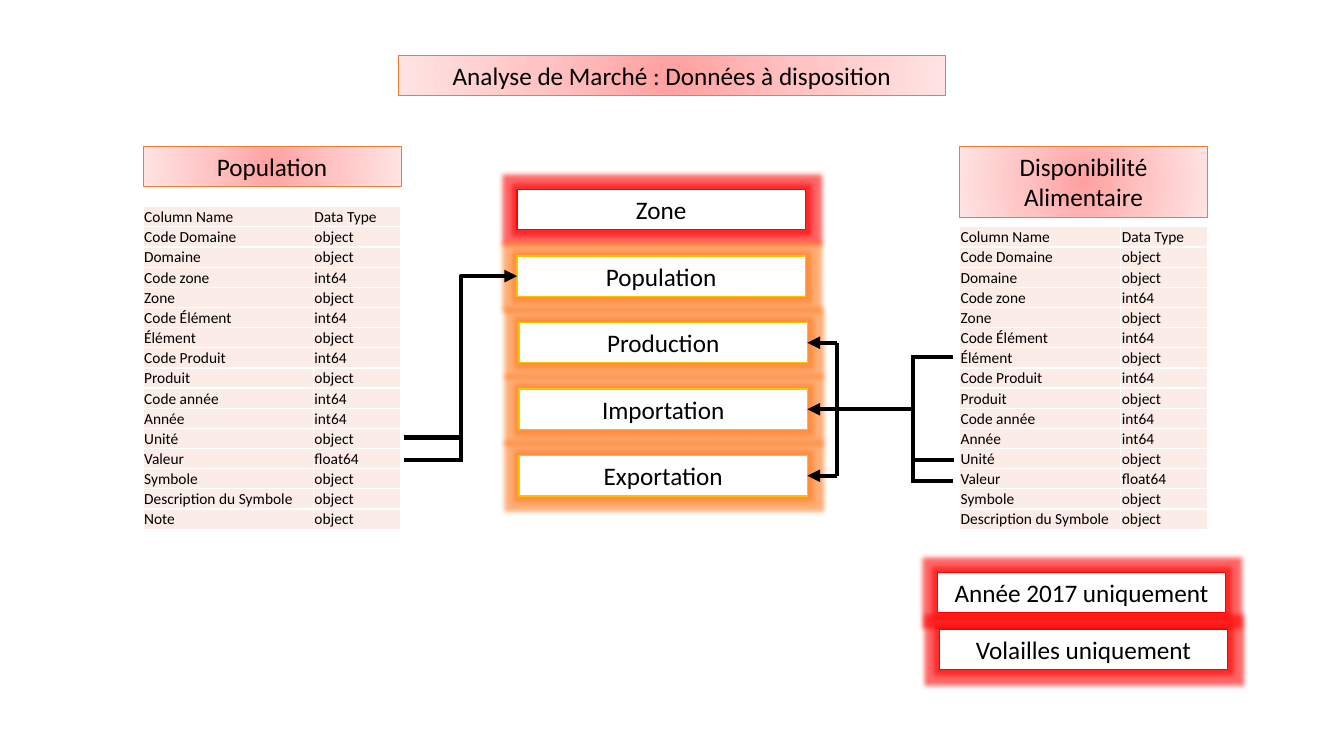
from lxml.etree import SubElement as Sub
from pptx import Presentation
from pptx.dml.color import RGBColor as Rgb
from pptx.enum.shapes import MSO_CONNECTOR as Conn, MSO_SHAPE as Geo
from pptx.enum.text import MSO_ANCHOR as Anchor, MSO_AUTO_SIZE as Auto, PP_ALIGN as Align
from pptx.oxml import parse_xml
from pptx.oxml.ns import nsdecls, qn
from pptx.util import Pt

PX = 9144
HUES = {
    "black": "000000", "white": "FFFFFF", "red": "FF0000", "gold": "FFC000",
    "edge": "ED7D31", "glow": "FF7A1F", "cell": "FCECE8",
    "deep": "FFA0A0", "mid": "FFC5C5", "pale": "FFE3E3",
}
FONT = {"name": "Calibri"}
FRAME = {"word_wrap": True, "auto_size": Auto.SHAPE_TO_FIT_TEXT,
         "vertical_anchor": Anchor.TOP}
CELL = {"vertical_anchor": Anchor.BOTTOM, "margin_left": PX, "margin_right": PX,
        "margin_top": PX, "margin_bottom": 0}
PLAIN = {"first_row": False, "horz_banding": False}

deck = Presentation()
deck.slide_width, deck.slide_height = 12192000, 750 * PX
slide = deck.slides.add_slide(deck.slide_layouts[6])


def label(frame, text, size):
    part = frame.paragraphs[0]
    run = part.add_run()
    run.text = text
    for key, val in {**FONT, "size": Pt(size)}.items():
        setattr(run.font, key, val)
    run.font.color.rgb = Rgb.from_string(HUES["black"])
    return part


def box(text, spot, hue, width):
    rect = slide.shapes.add_shape(Geo.RECTANGLE, *[n * PX for n in spot])
    rect.shadow.inherit = False
    rect.line.color.rgb = Rgb.from_string(HUES[hue])
    rect.line.width = Pt(width)
    for key, val in FRAME.items():
        setattr(rect.text_frame, key, val)
    label(rect.text_frame, text, 18).alignment = Align.CENTER
    return rect


HEADS = [
    ("Analyse de Marché : Données à disposition", (395, 55, 543, 40)),
    ("Population", (142, 145, 256, 40)),
    ("Disponibilité Alimentaire", (952, 145, 246, 71)),
]
stops = "".join(
    f'<a:gs pos="{pos}"><a:srgbClr val="{HUES[hue]}"/></a:gs>'
    for pos, hue in ((0, "deep"), (50000, "mid"), (100000, "pale")))
for text, spot in HEADS:
    head = box(text, spot, "edge", 0.5)
    head._element.spPr.find(qn("a:ln")).addprevious(parse_xml(
        f'<a:gradFill {nsdecls("a")} rotWithShape="1"><a:gsLst>{stops}</a:gsLst>'
        '<a:path path="circle"><a:fillToRect l="50000" t="50000" r="50000" b="50000"/>'
        '</a:path></a:gradFill>'))

FIELDS = [
    ("Column Name", "Data Type"), ("Code Domaine", "object"), ("Domaine", "object"),
    ("Code zone", "int64"), ("Zone", "object"), ("Code Élément", "int64"),
    ("Élément", "object"), ("Code Produit", "int64"), ("Produit", "object"),
    ("Code année", "int64"), ("Année", "int64"), ("Unité", "object"),
    ("Valeur", "float64"), ("Symbole", "object"),
    ("Description du Symbole", "object"), ("Note", "object"),
]
for left, top, wide, rows in ((142, 205, (169, 86), FIELDS),
                              (952, 225, (160, 86), FIELDS[:-1])):
    spot = (left, top, sum(wide), 20 * len(rows))
    grid = slide.shapes.add_table(len(rows), 2, *[n * PX for n in spot]).table
    for key, val in PLAIN.items():
        setattr(grid, key, val)
    for col, width in zip(grid.columns, wide):
        col.width = width * PX
    for r, row in enumerate(rows):
        for c, text in enumerate(row):
            cell = grid.cell(r, c)
            for key, val in CELL.items():
                setattr(cell, key, val)
            label(cell.text_frame, text, 11)
            for side in ("lnL", "lnR", "lnT", "lnB"):
                rule = Sub(cell._tc.tcPr, qn("a:" + side), w=str(Pt(1)))
                Sub(Sub(rule, qn("a:solidFill")), qn("a:srgbClr"), val=HUES["white"])
            cell.fill.solid()
            cell.fill.fore_color.rgb = Rgb.from_string(HUES["cell"])

BOXES = [
    ("Année 2017 uniquement", 930, 568, "red", "red"),
    ("Volailles uniquement", 932, 624, "red", "red"),
]
NAMES = ("Zone", "Population", "Production", "Importation", "Exportation")
for i, name in enumerate(NAMES):
    tone = ("gold", "glow") if i else ("red", "red")
    BOXES.append((name, 513 if i < 2 else 515, 188 + 66 * i, *tone))
made = {}
for text, left, top, hue, halo in BOXES:
    made[text] = rect = box(text, (left, top, 286, 40), hue, 1)
    rect.fill.solid()
    rect.fill.fore_color.rgb = Rgb.from_string(HUES["white"])
    glow = Sub(rect._element.spPr.find(qn("a:effectLst")), qn("a:glow"), rad=str(10 * PX))
    tint = Sub(glow, qn("a:srgbClr"), val=HUES[halo])
    Sub(tint, qn("a:alpha"), val="60000")

LINKS = [
    [
        (Conn.ELBOW, (401, 434, 513, 274), "Population", 1),
        (Conn.STRAIGHT, (401, 456, 457, 456), None, 0),
        (Conn.STRAIGHT, (457, 458, 457, 274), None, 0),
    ],
    [(Conn.STRAIGHT, (830, 340 + 66 * i, 801, 340 + 66 * i), name, 3)
     for i, name in enumerate(NAMES[2:])]
    + [(Conn.STRAIGHT, ends, None, 0) for ends in (
        (830, 340, 830, 472), (830, 406, 906, 406), (906, 353, 906, 479),
        (904, 354, 945, 354), (905, 456, 946, 456), (905, 477, 945, 477))],
]
for links in LINKS:
    group = slide.shapes.add_group_shape()
    for kind, ends, goal, side in links:
        link = group.shapes.add_connector(kind, *[n * PX for n in ends])
        link.line.color.rgb = Rgb.from_string(HUES["black"])
        link.line.width = Pt(3)
        Sub(link._element.spPr, qn("a:effectLst"))
        if goal:
            Sub(link.line._get_or_add_ln(), qn("a:tailEnd"), type="triangle")
            link.end_connect(made[goal], side)

deck.save("out.pptx")
